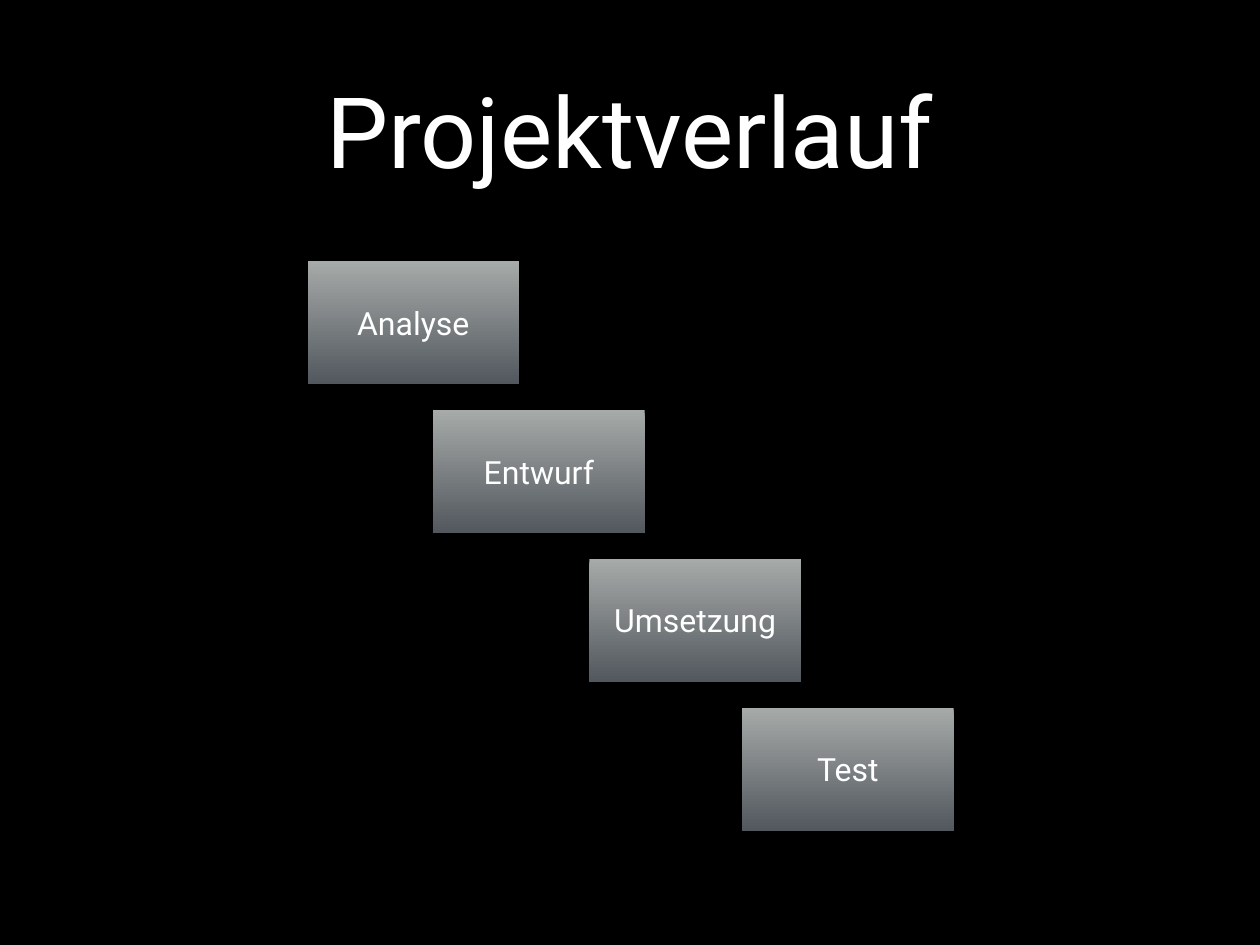
"""Build the Projektverlauf slide with its four staggered project phases."""
from pptx import Presentation
from pptx.dml.color import RGBColor
from pptx.enum.shapes import MSO_SHAPE
from pptx.enum.text import MSO_ANCHOR, MSO_AUTO_SIZE, PP_ALIGN
from pptx.util import Pt

BLACK = RGBColor(0x00, 0x00, 0x00)
WHITE = RGBColor(0xFF, 0xFF, 0xFF)
LIGHT_GREY = RGBColor(0xA6, 0xAA, 0xA8)
DARK_GREY = RGBColor(0x53, 0x58, 0x5F)

FONT = "Roboto"
INSET = Pt(4)
PHASE_WIDTH, PHASE_HEIGHT = 172, 100
FIRST_TOP, PHASE_STEP = 212, 121
PHASES = [("Analyse", 250), ("Entwurf", 352), ("Umsetzung", 479), ("Test", 603)]


def write_centered(box, text, size):
    frame = box.text_frame
    frame.word_wrap = True
    frame.auto_size = MSO_AUTO_SIZE.NONE
    frame.vertical_anchor = MSO_ANCHOR.MIDDLE
    frame.margin_left = frame.margin_right = INSET
    frame.margin_top = frame.margin_bottom = INSET
    para = frame.paragraphs[0]
    para.alignment = PP_ALIGN.CENTER
    span = para.add_run()
    span.text = text
    span.font.name = FONT
    span.font.size = Pt(size)
    span.font.color.rgb = WHITE


deck = Presentation()
deck.slide_width, deck.slide_height = Pt(1024), Pt(768)
page = deck.slides.add_slide(deck.slide_layouts.get_by_name("Title Only"))
page.background.fill.solid()
page.background.fill.fore_color.rgb = BLACK

title = page.shapes.title
title.left, title.top, title.width, title.height = Pt(75), Pt(20), Pt(874), Pt(170)
write_centered(title, "Projektverlauf", 80)

for row, (phase, left) in enumerate(PHASES):
    box = page.shapes.add_shape(
        MSO_SHAPE.RECTANGLE,
        Pt(left), Pt(FIRST_TOP + row * PHASE_STEP), Pt(PHASE_WIDTH), Pt(PHASE_HEIGHT),
    )
    box.shadow.inherit = False
    box.line.fill.background()
    box.fill.gradient()
    box.fill.gradient_angle = 270
    for stop, color in zip(box.fill.gradient_stops, (LIGHT_GREY, DARK_GREY)):
        stop.color.rgb = color
    write_centered(box, phase, 26)

deck.save("out.pptx")
